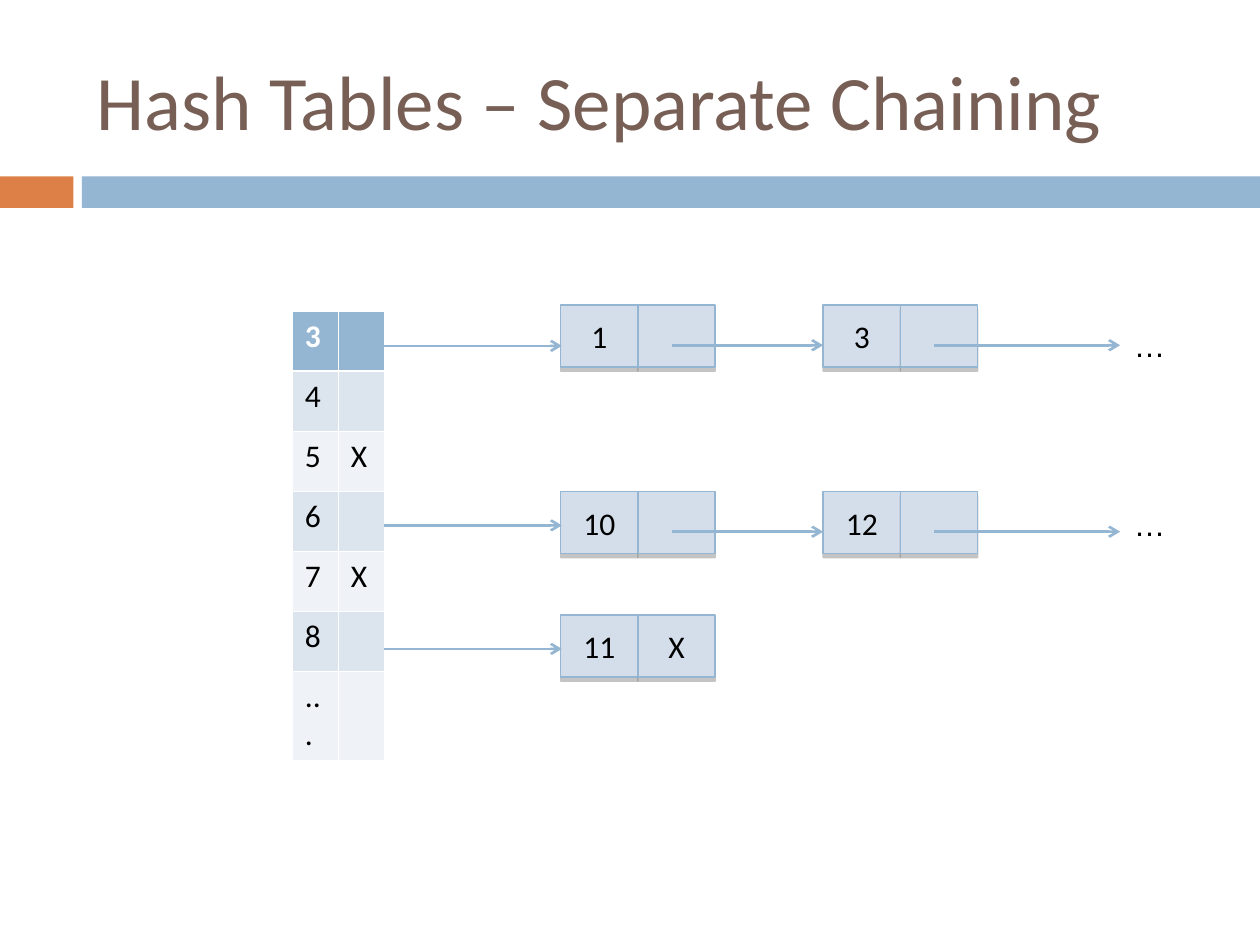
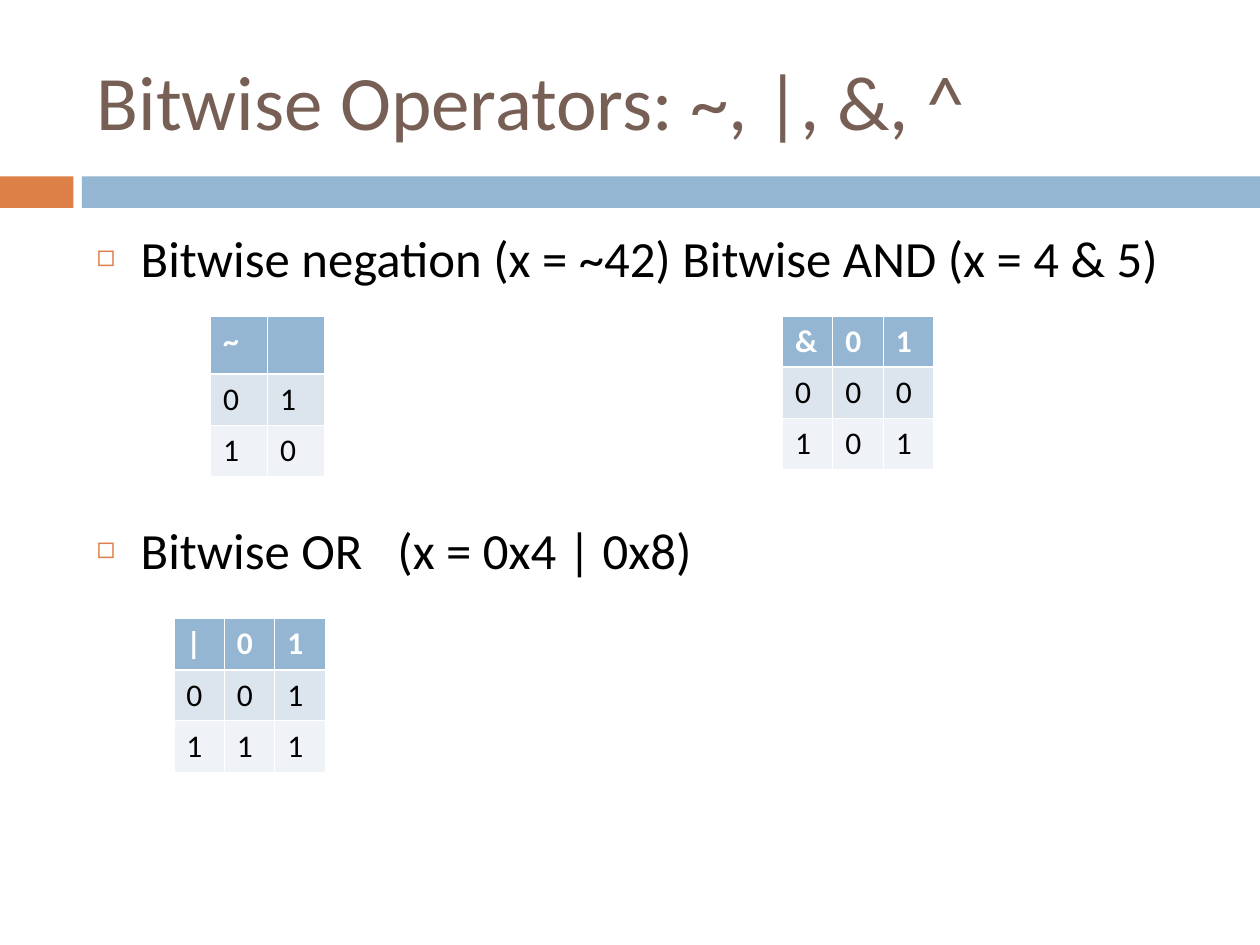
from dataclasses import dataclass
from typing import Optional

from lxml import etree
from pptx import Presentation
from pptx import util as u
from pptx.dml.color import RGBColor
from pptx.enum import shapes, text
from pptx.oxml import parse_xml
from pptx.oxml.ns import nsdecls, qn

COLORS = {
    "title": "775F55", "accent": "DD8047", "band": "94B6D2", "node": "D3DEEA",
    "odd": "DCE5EE", "even": "EFF3F7", "white": "FFFFFF", "black": "000000",
    "shadow": "808080",
}
COLUMNS = 100  # square grid: 100 columns by 75 rows
SLIDE_W, SLIDE_H = u.Inches(10), u.Inches(7.5)
FONT, SMALL = "Calibri", 18
THIN, THICK = 0.45, 1.47  # table rules, points

# Node geometry in grid units
CELL_W, CELL_H = 6.13, 4.93
NODE_LEFT, NODE_PITCH = 44.5, 20.83
POINTER_DX, POINTER_DY = 8.8, 3.2
ARRAY_RIGHT, CHAIN_END = 30.5, 88.9


@dataclass
class Chain:
    top: float
    arrow_y: float
    values: list[str]
    ellipsis_top: Optional[float] = None  # None: the chain ends with X


@dataclass
class Grid:
    left: float
    top: float
    col_w: float
    row_heights: list[float]
    rows: list[str]  # one character a cell, "." for an empty one


CHAINS = [
    Chain(24.2, 27.45, ["1", "3"], 25.4),
    Chain(39, 41.7, ["10", "12"], 39.6),
    Chain(48.8, 51.5, ["11"]),
]
BUCKETS = Grid(23.2, 24.7, 3.65, [4.76] * 6 + [7.1],
               ["3.", "4.", "5X", "6.", "7X", "8.", "…."])
TRUTH_TABLES = [
    Grid(16.7, 25.1, 4.53, [4.6, 4.05, 4.05], ["~.", "01", "10"]),
    Grid(13.8, 49.1, 4, [4.05] * 3, ["|01", "001", "111"]),
    Grid(62.1, 25.1, 4, [4.05] * 3, ["&01", "000", "101"]),
]


def g(n: float) -> int:
    """Length of n grid units."""
    return round(SLIDE_W * n / COLUMNS)


def rgb(name: str) -> RGBColor:
    return RGBColor.from_string(COLORS[name])


def write(p, content: str, size: float = SMALL, color: str = "black",
          bold: bool = False, font: str = FONT, align=text.PP_ALIGN.LEFT):
    """Add a formatted run to a paragraph."""
    p.alignment = align
    r = p.add_run()
    r.text = content
    r.font.name, r.font.size, r.font.bold = font, u.Pt(size), bold
    r.font.color.rgb = rgb(color)
    return r


def add_rect(s, left: float, top: float, width: float, height: float, fill: str):
    sp = s.shapes.add_shape(shapes.MSO_SHAPE.RECTANGLE,
                            g(left), g(top), g(width), g(height))
    sp.shadow.inherit = False
    sp.fill.solid()
    sp.fill.fore_color.rgb = rgb(fill)
    sp.line.fill.background()
    return sp


def add_slide(prs, layout: int, title: str):
    """Slide with the shared bands and title."""
    s = prs.slides.add_slide(prs.slide_layouts[layout])
    add_rect(s, 0, 14, 5.83, 2.5, "accent")
    add_rect(s, 6.5, 14, 93.5, 2.5, "band")
    sp = s.shapes.title
    sp.left, sp.top, sp.width, sp.height = g(6.67), g(2.5), g(89.17), g(10.83)
    tf = sp.text_frame
    tf.auto_size = text.MSO_AUTO_SIZE.NONE
    tf.vertical_anchor = text.MSO_ANCHOR.MIDDLE
    write(tf.paragraphs[0], title, size=44, color="title")
    return s


def add_node_cell(s, left: float, top: float, label: str) -> None:
    sp = add_rect(s, left, top, CELL_W, CELL_H, "node")
    sp.line.color.rgb = rgb("band")
    sp.line.width = u.Pt(0.79)
    effects = sp._element.spPr.find(qn("a:effectLst"))
    effects.append(parse_xml(
        f'<a:outerShdw {nsdecls("a")} blurRad="0" dist="{u.Pt(2.4)}" dir="5400000" '
        f'rotWithShape="0"><a:srgbClr val="{COLORS["shadow"]}">'
        '<a:alpha val="45000"/></a:srgbClr></a:outerShdw>'))
    if label:
        sp.text_frame.vertical_anchor = text.MSO_ANCHOR.MIDDLE
        write(sp.text_frame.paragraphs[0], label, align=text.PP_ALIGN.CENTER)


def add_arrow(s, x1: float, x2: float, y: float) -> None:
    c = s.shapes.add_connector(shapes.MSO_CONNECTOR.STRAIGHT, g(x1), g(y), g(x2), g(y))
    c.line.color.rgb = rgb("band")
    c.line.width = u.Pt(1.5)
    etree.SubElement(c.line._get_or_add_ln(), qn("a:tailEnd"), type="arrow")
    etree.SubElement(c._element.spPr, qn("a:effectLst"))


def add_chain(s, chain: Chain) -> None:
    lefts = [NODE_LEFT + i * NODE_PITCH for i in range(len(chain.values))]
    last = "X" if chain.ellipsis_top is None else ""
    for left, value in zip(lefts, chain.values):
        add_node_cell(s, left, chain.top, value)
        add_node_cell(s, left + CELL_W, chain.top, last)
    add_arrow(s, ARRAY_RIGHT, NODE_LEFT + 0.1, chain.arrow_y)
    if chain.ellipsis_top is None:
        return
    for left, target in zip(lefts, lefts[1:] + [CHAIN_END]):
        add_arrow(s, left + POINTER_DX, target, chain.top + POINTER_DY)
    tf = s.shapes.add_textbox(g(89), g(chain.ellipsis_top), g(4.5), g(4)).text_frame
    tf.word_wrap = False
    write(tf.paragraphs[0], "…", font="Arial")


def set_borders(cell, top: float, bottom: float) -> None:
    tc_pr = cell._tc.get_or_add_tcPr()
    widths = {"lnL": THIN, "lnR": THIN, "lnT": top, "lnB": bottom}
    for i, (tag, width) in enumerate(widths.items()):
        tc_pr.insert(i, parse_xml(
            f'<a:{tag} {nsdecls("a")} w="{u.Pt(width)}"><a:solidFill>'
            f'<a:srgbClr val="{COLORS["white"]}"/></a:solidFill></a:{tag}>'))


def add_grid(s, grid: Grid) -> None:
    """Table with a header row and banded body rows."""
    n_rows, n_cols = len(grid.rows), len(grid.rows[0])
    table = s.shapes.add_table(n_rows, n_cols, g(grid.left), g(grid.top),
                               g(grid.col_w * n_cols), g(sum(grid.row_heights))).table
    for col in table.columns:
        col.width = g(grid.col_w)
    for i, (row, height) in enumerate(zip(grid.rows, grid.row_heights)):
        table.rows[i].height = g(height)
        fill = "band" if i == 0 else "odd" if i % 2 else "even"
        for j, mark in enumerate(row):
            cell = table.cell(i, j)
            cell.fill.solid()
            cell.fill.fore_color.rgb = rgb(fill)
            set_borders(cell, THICK if i == 1 else THIN, THICK if i == 0 else THIN)
            p = cell.text_frame.paragraphs[0]
            if mark == ".":
                p.font.size = u.Pt(SMALL)
            else:
                write(p, "..." if mark == "…" else mark, bold=i == 0,
                      color="black" if i else "white")


def set_bullet(p, space_before: float) -> None:
    p_pr = p._p.get_or_add_pPr()
    p_pr.set("marL", str(u.Inches(0.35)))
    p_pr.set("indent", str(-u.Inches(0.35)))
    color = etree.SubElement(p_pr, qn("a:buClr"))
    etree.SubElement(color, qn("a:srgbClr"), val=COLORS["accent"])
    etree.SubElement(p_pr, qn("a:buSzPct"), val="60000")
    etree.SubElement(p_pr, qn("a:buChar"), char="◻")
    p.space_before = u.Pt(space_before)


def build_chaining(prs) -> None:
    s = add_slide(prs, 5, "Hash Tables – Separate Chaining")
    add_grid(s, BUCKETS)
    for chain in CHAINS:
        add_chain(s, chain)


def build_bitwise(prs) -> None:
    s = add_slide(prs, 1, "Bitwise Operators: ~, |, &, ^")
    body = s.placeholders[1]
    body.left, body.top, body.width, body.height = g(6.67), g(17.5), g(89.17), g(49.17)
    tf = body.text_frame
    tf.auto_size = text.MSO_AUTO_SIZE.NONE
    first, second = tf.paragraphs[0], tf.add_paragraph()
    set_bullet(first, 0)
    write(first, "Bitwise negation (x = ~42) Bitwise AND (x = 4 & 5)", size=29)
    # Spacing leaves room for the tables above the second item
    set_bullet(second, 132)
    write(second, "Bitwise OR", size=29)
    gap = write(second, " ", size=29)
    gap.font._element.set("spc", "1310")  # wide gap before the example
    write(second, "(x = 0x4 | 0x8)", size=29)
    for grid in TRUTH_TABLES:
        add_grid(s, grid)


def main() -> None:
    prs = Presentation()
    prs.slide_width, prs.slide_height = SLIDE_W, SLIDE_H
    build_chaining(prs)
    build_bitwise(prs)
    prs.save("out.pptx")


if __name__ == "__main__":
    main()
